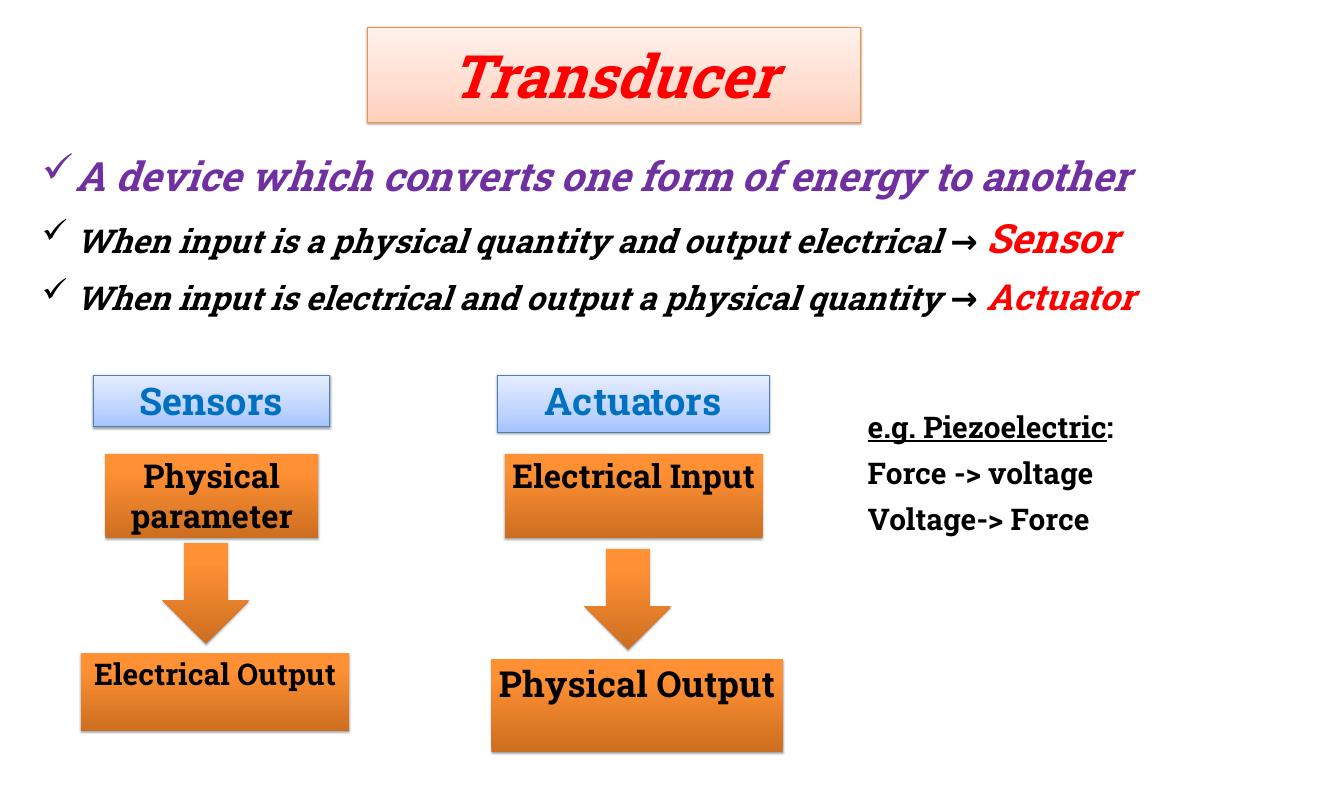
from lxml import etree
from pptx import Presentation
from pptx import util as u
from pptx.dml.color import RGBColor
from pptx.enum import shapes, text
from pptx.oxml.ns import qn

W, H = 25, 15
FONT = "Roboto Slab"
RED = RGBColor(0xFF, 0x00, 0x00)
PURPLE = RGBColor(0x70, 0x30, 0xA0)
BLUE = RGBColor(0x00, 0x70, 0xC0)
BLACK = RGBColor(0x00, 0x00, 0x00)
BLUE_EDGE = RGBColor(0x4B, 0x7E, 0xBC)
PEACH_EDGE = RGBColor(0xF5, 0x92, 0x40)
# Gradient stops from bottom to top: position in percent, colour
PEACH = [(0, RGBColor(0xFF, 0xD0, 0xBC)), (35, RGBColor(0xFF, 0xDD, 0xCF)),
         (100, RGBColor(0xFF, 0xF1, 0xEB))]
SKY = [(0, RGBColor(0xA4, 0xC4, 0xFF)), (35, RGBColor(0xBF, 0xD4, 0xFF)),
       (100, RGBColor(0xE6, 0xEE, 0xFF))]
ORANGE = [(0, RGBColor(0xCC, 0x6E, 0x20)), (80, RGBColor(0xFF, 0x90, 0x34)),
          (100, RGBColor(0xFF, 0x91, 0x36))]


def sub(parent, tag, **attrs):
    return etree.SubElement(parent, qn(tag), attrs)


def add_run(p, words, size, color, italic=False, underline=False):
    r = p.add_run()
    r.text = words
    f = r.font
    f.name, f.size, f.bold = FONT, u.Pt(size), True
    f.italic, f.underline = italic, underline
    f.color.rgb = color


def add_block(s, kind, box, stops, edge=None):
    """Shape with a vertical gradient and a soft shadow below it."""
    sp = s.shapes.add_shape(kind, *[u.Inches(v) for v in box])
    if edge is None:
        sp.line.fill.background()
    else:
        sp.line.color.rgb = edge
        sp.line.width = u.Pt(0.75)
    sp.fill.gradient()
    sp.fill.gradient_angle = 90
    props = sp.element.spPr
    gs_list = props.find(qn("a:gradFill")).find(qn("a:gsLst"))
    for gs in list(gs_list):
        gs_list.remove(gs)
    for pos, color in stops:
        sub(sub(gs_list, "a:gs", pos=str(pos * 1000)), "a:srgbClr", val=str(color))
    sp.shadow.inherit = False
    shadow = sub(props.find(qn("a:effectLst")), "a:outerShdw", blurRad=str(u.Pt(3.1)),
                 dist=str(u.Pt(1.7)), dir="5400000", rotWithShape="0")
    sub(sub(shadow, "a:srgbClr", val=str(BLACK)), "a:alpha", val="36000")
    return sp


def add_label(sp, words, size, color, anchor=text.MSO_ANCHOR.TOP, italic=False):
    tf = sp.text_frame
    tf.word_wrap = True
    tf.vertical_anchor = anchor
    p = tf.paragraphs[0]
    p.alignment = text.PP_ALIGN.CENTER
    add_run(p, words, size, color, italic)


def add_lines(s, box, lines, gap, italic=False, bullet=False):
    """Text box with one paragraph for each list of runs."""
    tf = s.shapes.add_textbox(*[u.Inches(v) for v in box]).text_frame
    tf.word_wrap = True
    tf.margin_left = tf.margin_right = u.Inches(0.2)
    tf.margin_top = tf.margin_bottom = u.Inches(0.1)
    for i, runs in enumerate(lines):
        p = tf.paragraphs[0] if i == 0 else tf.add_paragraph()
        if i:
            p.space_before = u.Pt(gap)
        if bullet:
            p.alignment = text.PP_ALIGN.JUSTIFY
            pPr = p._p.get_or_add_pPr()
            indent = u.Inches(0.63)
            pPr.set("marL", str(indent))
            pPr.set("indent", str(-indent))
            sub(pPr, "a:buFont", typeface="OpenSymbol")
            sub(pPr, "a:buChar", char="✓")
        for words, size, color, *underline in runs:
            add_run(p, words, size, color, italic, bool(underline))


def add_title(s, box):
    sp = add_block(s, shapes.MSO_SHAPE.RECTANGLE, box, PEACH, PEACH_EDGE)
    add_label(sp, "Transducer", 80, RED, text.MSO_ANCHOR.MIDDLE, italic=True)


def add_definitions(s, box):
    lines = [
        [("A device which converts one form of energy to another", 54, PURPLE)],
        [("When input is a physical quantity and output electrical → ", 44, BLACK),
         ("Sensor", 54, RED)],
        [("When input is electrical and output a physical quantity → ", 44, BLACK),
         ("Actuator", 48, RED)],
    ]
    add_lines(s, box, lines, gap=18, italic=True, bullet=True)


def add_flow(s, center, top, header, source, arrow_top, result):
    """Header, input, down arrow and output stacked around one centre line."""
    rect = shapes.MSO_SHAPE.RECTANGLE

    def centered(shift, y, w, h):
        return center + shift - w / 2, top + y, w, h

    words, size, w, h = header
    sp = add_block(s, rect, centered(-0.05, 0, w, h), SKY, BLUE_EDGE)
    add_label(sp, words, size, BLUE)

    words, size, w, h = source
    sp = add_block(s, rect, centered(-0.04, 1.46, w, h), ORANGE)
    add_label(sp, words, size, BLACK)

    add_block(s, shapes.MSO_SHAPE.DOWN_ARROW,
              centered(-0.15, arrow_top, 1.62, 1.88), ORANGE)

    words, size, w, h = result
    sp = add_block(s, rect, centered(0.02, arrow_top + 2.06, w, h), ORANGE)
    add_label(sp, words, size, BLACK)


def add_example(s, box):
    lines = [[("e.g. Piezoelectric", 40, BLACK, True), (":", 40, BLACK)],
             [("Force -> voltage", 40, BLACK)],
             [("Voltage-> Force", 40, BLACK)]]
    add_lines(s, box, lines, gap=14)


def main():
    prs = Presentation()
    prs.slide_width, prs.slide_height = u.Inches(W), u.Inches(H)
    s = prs.slides.add_slide(prs.slide_layouts[6])

    add_title(s, (6.83, 0.5, 9.17, 1.77))
    add_definitions(s, (0.58, 2.71, 23.84, 4.9))

    # Sensor and actuator flows: words, text size, width, height
    flow_top = 6.98
    add_flow(s, 3.98, flow_top, ("Sensors", 51, 4.4, 0.96),
             ("Physical parameter", 44, 3.96, 1.58), 3.12,
             ("Electrical Output", 40, 5, 1.45))
    add_flow(s, 11.83, flow_top, ("Actuators", 51, 5.05, 1.06),
             ("Electrical Input", 44, 4.79, 1.58), 3.23,
             ("Physical Output", 48, 5.42, 1.72))

    add_example(s, (15.94, 7.5, 6.46, 3.9))
    prs.save("out.pptx")


if __name__ == "__main__":
    main()
